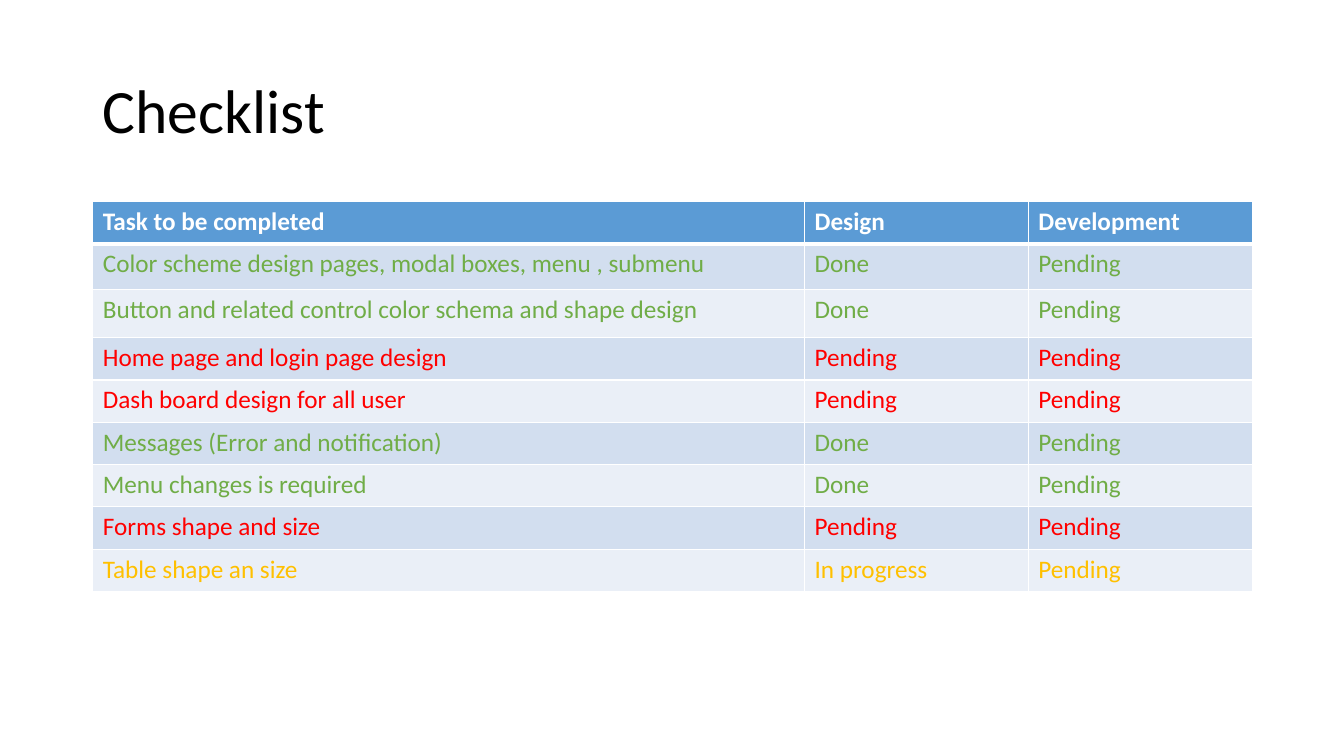
from pptx import Presentation
from pptx.dml.color import RGBColor
from pptx.enum.text import MSO_ANCHOR
from pptx.oxml import parse_xml
from pptx.oxml.ns import nsdecls
from pptx.util import Inches, Pt

MIDDLE = MSO_ANCHOR.MIDDLE

THEME = {
    "font": "Calibri", "title": 44, "body": 18,
    "black": "000000", "white": "FFFFFF", "head": "5B9BD5",
    "odd": "D2DEEF", "even": "EAEFF7",
    "green": "70AD47", "red": "FF0000", "amber": "FFC000",
}
LEFT, WIDTH, TOP = 0.92, 11.5, 2
COLS = [7.06, 2.22, 2.22]
HEAD = ["Task to be completed", "Design", "Development"]
TASKS = [
    ("Color scheme design pages, modal boxes, menu , submenu", "Done"),
    ("Button and related control color schema and shape design", "Done"),
    ("Home page and login page design", "Pending"),
    ("Dash board design for all user", "Pending"),
    ("Messages (Error and notification)", "Done"),
    ("Menu changes is required", "Done"),
    ("Forms shape and size", "Pending"),
    ("Table shape an size", "In progress"),
]
STATES = {"Done": "green", "Pending": "red", "In progress": "amber"}
ROW = 0.42
TALL = {1: 0.45, 2: 0.48}


def write(frame, text, size, color, bold=False):
    """Put one styled run of text in a frame."""
    run = frame.paragraphs[0].add_run()
    run.text = text
    style = {"name": THEME["font"], "size": Pt(THEME[size]), "bold": bold}
    for key, value in style.items():
        setattr(run.font, key, value)
    run.font.color.rgb = RGBColor.from_string(THEME[color])


def add_grid(slide, rows, heights):
    """Add a table whose rows are (texts, fill, color, is_head)."""
    frame = slide.shapes.add_table(
        len(rows), len(COLS), Inches(LEFT), Inches(TOP),
        Inches(WIDTH), Inches(sum(heights)))
    grid = frame.table
    for col, width in zip(grid.columns, COLS):
        col.width = Inches(width)
    for line, height, (texts, fill, color, is_head) in zip(
            grid.rows, heights, rows):
        line.height = Inches(height)
        for cell, text in zip(line.cells, texts):
            props = cell._tc.get_or_add_tcPr()
            for side in "LRTB":
                width = Pt(3 if is_head and side == "B" else 1)
                props.append(parse_xml(
                    f'<a:ln{side} {nsdecls("a")} w="{width}"><a:solidFill>'
                    f'<a:srgbClr val="{THEME["white"]}"/>'
                    f'</a:solidFill></a:ln{side}>'))
            cell.fill.solid()
            cell.fill.fore_color.rgb = RGBColor.from_string(THEME[fill])
            if text:
                write(cell.text_frame, text, "body", color, is_head)


deck = Presentation()
deck.slide_width, deck.slide_height = Inches(13.33), Inches(7.5)
slide = deck.slides.add_slide(deck.slide_layouts[6])

title = slide.shapes.add_textbox(
    Inches(LEFT), Inches(0.4), Inches(WIDTH), Inches(1.45)).text_frame
title.word_wrap = True
title.vertical_anchor = MIDDLE
title.paragraphs[0].line_spacing = 0.9
write(title, "Checklist", "title", "black")

# The task table keeps a blank head row, covered by the head table.
rows = [([""] * len(COLS), "head", "white", True)]
for i, (task, state) in enumerate(TASKS):
    band = "even" if i % 2 else "odd"
    rows.append(([task, state, "Pending"], band, STATES[state], False))
add_grid(slide, rows, [TALL.get(i, ROW) for i in range(len(rows))])
add_grid(slide, [(HEAD, "head", "white", True)], [ROW])

deck.save("out.pptx")
